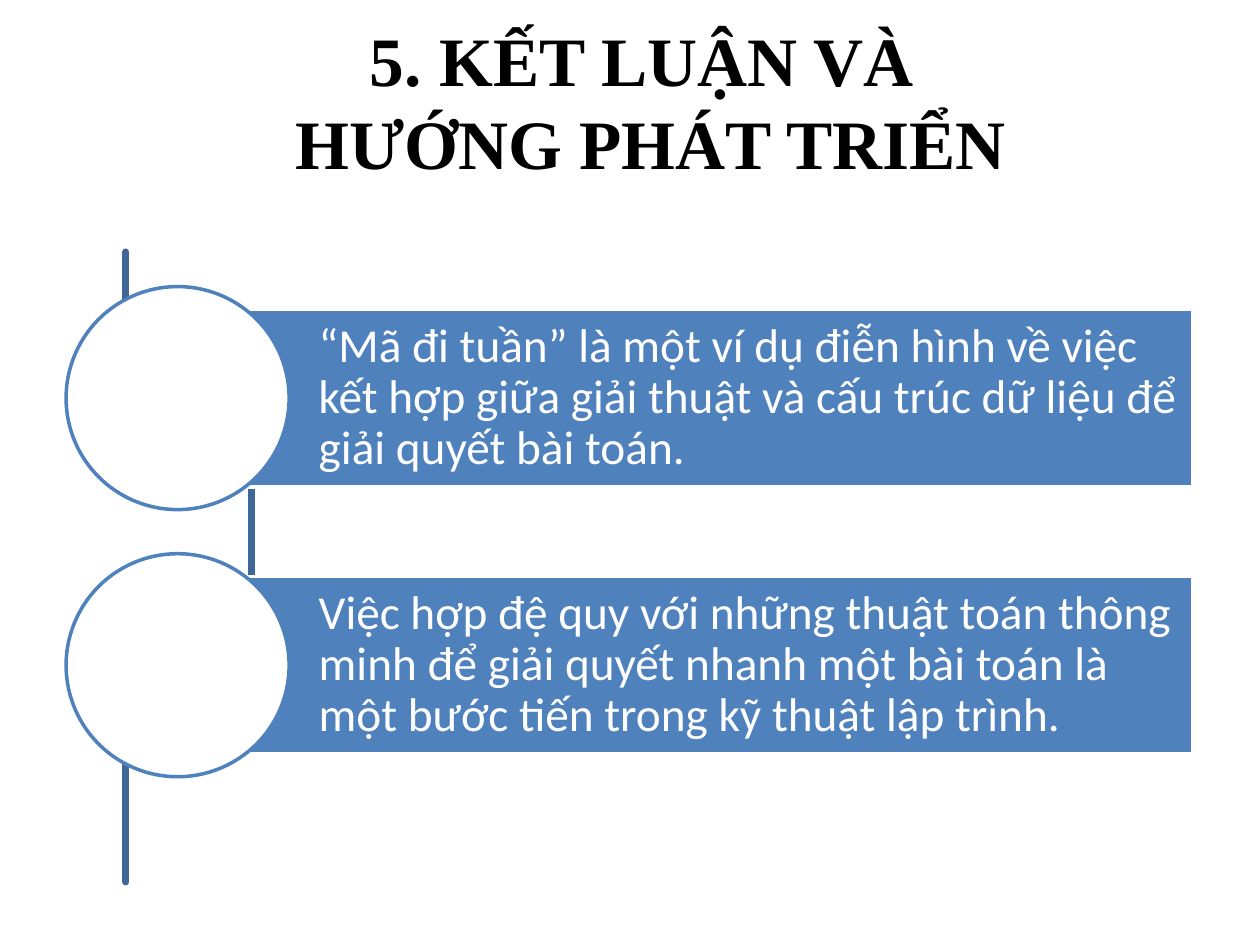
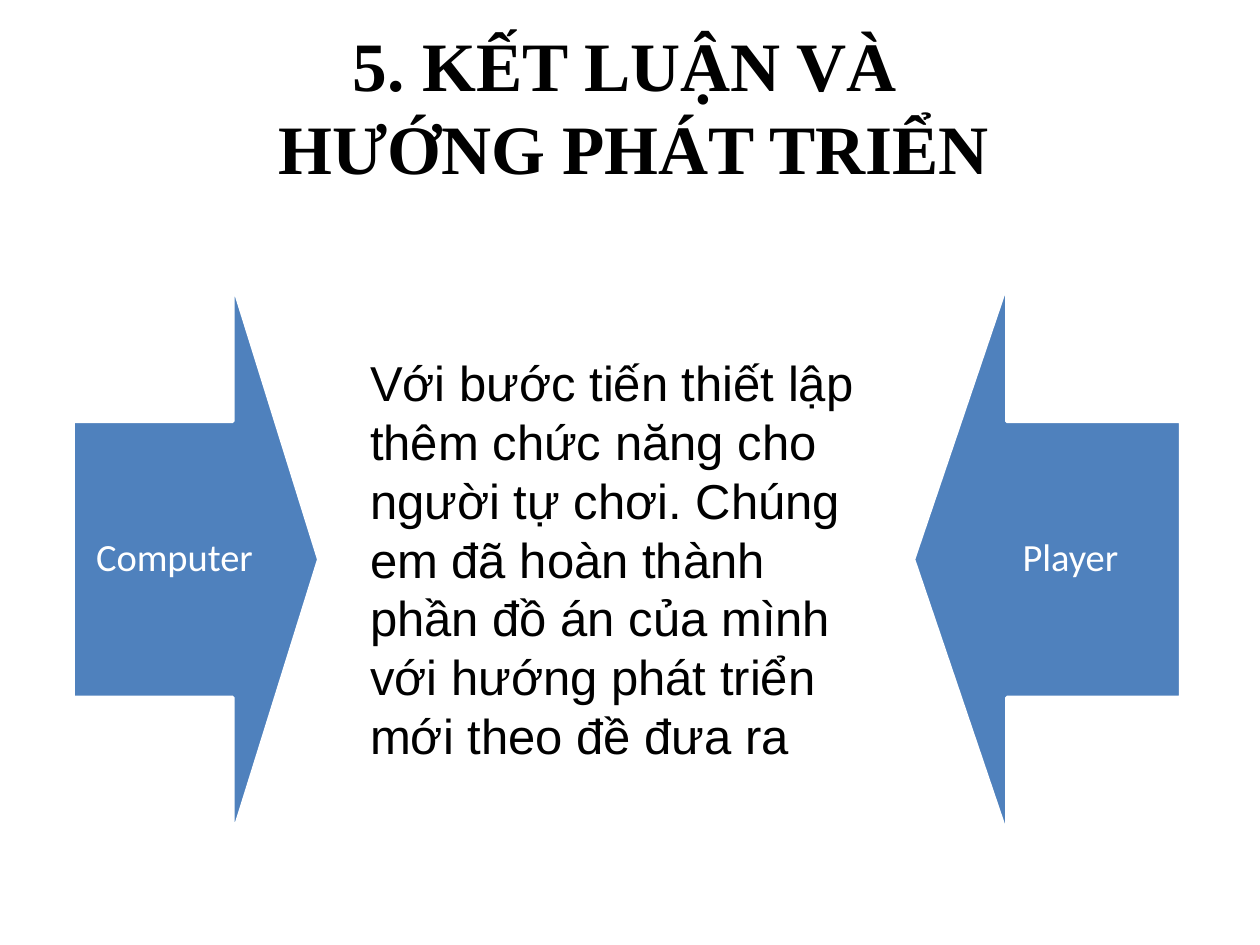
from math import cos, radians, sin

from lxml.etree import SubElement
from pptx import Presentation
from pptx.dml.color import RGBColor
from pptx.enum.shapes import MSO_SHAPE as Shape
from pptx.enum.text import MSO_ANCHOR as Anchor, MSO_AUTO_SIZE as AutoSize, PP_ALIGN as Align
from pptx.oxml.ns import qn
from pptx.util import Inches, Pt

COLORS = {"accent": "4F81BD", "arc": "3F6797", "white": "FFFFFF", "black": "000000"}
TITLE_LINES = ["5. KẾT LUẬN VÀ ", "HƯỚNG PHÁT TRIỂN"]
TITLE_HEIGHT = 1.25
CONCLUSIONS = [
    "“Mã đi tuần” là một ví dụ điễn hình về việc kết hợp giữa giải thuật và cấu trúc dữ liệu để giải quyết bài toán.",
    "Việc hợp đệ quy với những thuật toán thông minh để giải quyết nhanh một bài toán là một bước tiến trong kỹ thuật lập trình.",
]
DIRECTION = (
    "Với bước tiến thiết lập thêm chức năng cho người tự chơi. Chúng em đã hoàn thành "
    "phần đồ án của mình với hướng phát triển mới theo đề đưa ra"
)
MIDDLE = 4.22
ROW_PITCH = 2.12
BAND_LEFT, BAND_WIDTH, BAND_HEIGHT = 1.41, 8.06, 1.41
CIRCLE_SIZE = 1.77
ARC_CENTER, ARC_RADIUS = -1.72, 3.33
ARROW_TOP, ARROW_HEIGHT = 2.25, 4.38


def color(name):
    return RGBColor.from_string(COLORS[name])


def inches(*lengths):
    return [Inches(length) for length in lengths]


def add_span(para, text, font, size, tone, bold=False):
    span = para.add_run()
    span.text = text
    span.font.name = font
    span.font.size = Pt(size)
    span.font.bold = bold
    span.font.color.rgb = color(tone)


def set_insets(frame, left, other):
    frame.margin_left = Inches(left)
    frame.margin_top = frame.margin_right = frame.margin_bottom = Inches(other)


def add_page(deck, left, top, width):
    page = deck.slides.add_slide(deck.slide_layouts[5])
    title = page.shapes.title
    title.left, title.top, title.width, title.height = inches(left, top, width, TITLE_HEIGHT)
    frame = title.text_frame
    frame.auto_size = AutoSize.NONE
    frame.vertical_anchor = Anchor.MIDDLE
    para = frame.paragraphs[0]
    para.alignment = Align.CENTER
    for index, line in enumerate(TITLE_LINES):
        if index:
            para.add_line_break()
        add_span(para, line, "Times New Roman", 39.6, "black", bold=True)
    return page


def add_figure(page, kind, place, fill, line):
    figure = page.shapes.add_shape(kind, *inches(*place))
    figure.shadow.inherit = False
    figure.fill.solid()
    figure.fill.fore_color.rgb = color(fill)
    figure.line.color.rgb = color(line)
    figure.line.width = Pt(2)
    return figure


def add_label(figure, text, size, align, left_inset, inset):
    frame = figure.text_frame
    frame.word_wrap = True
    frame.vertical_anchor = Anchor.MIDDLE
    set_insets(frame, left_inset, inset)
    para = frame.paragraphs[0]
    para.alignment = align
    para.line_spacing = 0.9
    add_span(para, text, "Calibri", size, "white")


def add_arc(page):
    points = [
        (ARC_CENTER + ARC_RADIUS * cos(radians(angle)), MIDDLE + ARC_RADIUS * sin(radians(angle)))
        for angle in range(-45, 46)
    ]
    builder = page.shapes.build_freeform(*points[0], scale=Inches(1))
    builder.add_line_segments(points[1:], close=False)
    arc = builder.convert_to_shape()
    arc.shadow.inherit = False
    arc.fill.background()
    arc.line.color.rgb = color("arc")
    arc.line.width = Pt(4)
    outline = arc.line._get_or_add_ln()
    outline.set("cap", "rnd")
    SubElement(outline, qn("a:round"))


def add_conclusion(page, center, text):
    place = (BAND_LEFT, center - BAND_HEIGHT / 2, BAND_WIDTH, BAND_HEIGHT)
    band = add_figure(page, Shape.RECTANGLE, place, "accent", "white")
    add_label(band, text, 27, Align.LEFT, 1.12, 0.07)
    half = CIRCLE_SIZE / 2
    place = (BAND_LEFT - half, center - half, CIRCLE_SIZE, CIRCLE_SIZE)
    add_figure(page, Shape.OVAL, place, "white", "accent")


def add_arrow(page, kind, left, width, text):
    arrow = add_figure(page, kind, (left, ARROW_TOP, width, ARROW_HEIGHT), "accent", "white")
    arrow.adjustments[0] = 0.5
    arrow.adjustments[1] = 0.35
    add_label(arrow, text, 22, Align.CENTER, 0.17, 0.17)


def add_statement(page, text):
    box = page.shapes.add_textbox(*inches(2.84, 2.75, 4.17, 3.4))
    box.text_frame.word_wrap = True
    add_span(box.text_frame.paragraphs[0], text, "Arial", 28, "black")


def main():
    deck = Presentation()
    deck.slide_width, deck.slide_height = inches(10, 7.5)

    page = add_page(deck, 0.33, 0.17, 9.67)
    add_arc(page)
    for row, text in enumerate(CONCLUSIONS):
        add_conclusion(page, MIDDLE + (row - 0.5) * ROW_PITCH, text)

    page = add_page(deck, 0.53, 0.21, 9)
    add_arrow(page, Shape.RIGHT_ARROW, 0.58, 1.95, "Computer")
    add_arrow(page, Shape.LEFT_ARROW, 7.25, 2.12, "Player")
    add_statement(page, DIRECTION)

    deck.save("out.pptx")


if __name__ == "__main__":
    main()
